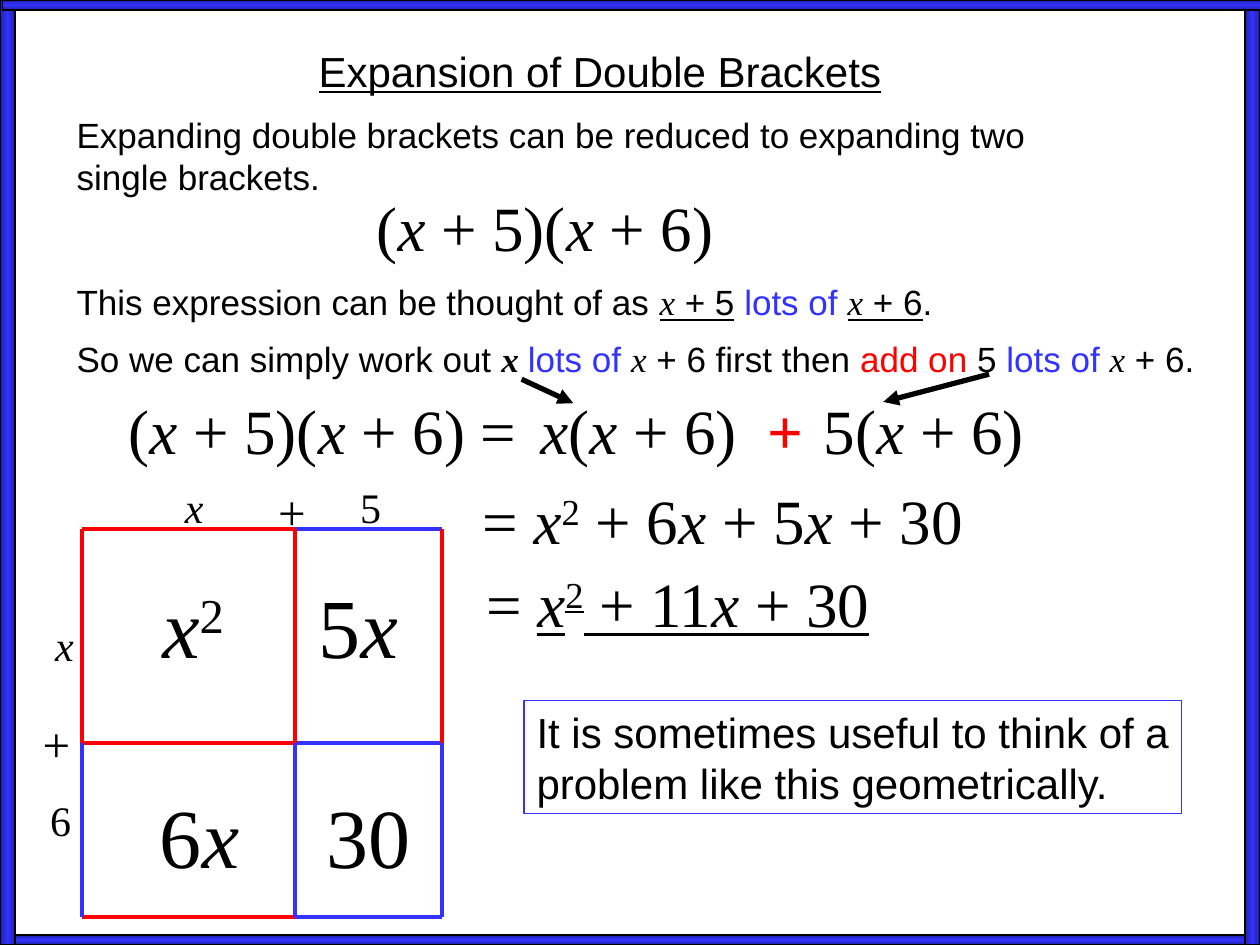
import copy

import pptx
import pptx.dml.color
import pptx.enum.shapes
import pptx.oxml.ns
import pptx.util
from lxml import etree

COLUMNS, ROWS = 100, 75
CELL = pptx.util.Inches(0.1)
COLORS = {"black": "000000", "red": "FF0000", "blue": "3333FF", "navy": "2121A8"}
SANS, SERIF = "Arial", "Times New Roman"

# Edges of the area model, in grid columns and rows
EDGE_COLUMNS = (6.5, 23.4, 35.1)
EDGE_ROWS = (42, 59, 72.8)


def grid(*cells):
    return [round(cell * CELL) for cell in cells]


def rgb(name):
    return pptx.dml.color.RGBColor.from_string(COLORS[name])


def algebra(text, extra=""):
    """Split an expression into spans: x is italic, the digit after ^ is raised."""
    spans = []
    raised = False
    for char in text:
        if char == "^":
            raised = True
            continue
        style = "raised" if raised else "italic" if char == "x" else ""
        raised = False
        style = f"{style} {extra}".strip()
        if spans and spans[-1][1] == style:
            spans[-1] = (spans[-1][0] + char, style)
        else:
            spans.append((char, style))
    return spans


def write(box, spans, size, font):
    """Fill a box with one paragraph of (text, style words) spans."""
    frame = box.text_frame
    frame.word_wrap = True
    para = frame.paragraphs[0]
    para.alignment = pptx.enum.text.PP_ALIGN.LEFT
    para.font.size = pptx.util.Pt(size)
    para.font.name = font
    para.font.color.rgb = rgb("black")
    for text, style in spans:
        words = style.split()
        span = para.add_run()
        span.text = text
        if "serif" in words:
            span.font.name = SERIF
        if "italic" in words:
            span.font.italic = True
        if "bold" in words:
            span.font.bold = True
        if "underlined" in words:
            span.font.underline = True
        if "raised" in words:
            span.font._element.set("baseline", "30000")
        for name in ("red", "blue"):
            if name in words:
                span.font.color.rgb = rgb(name)


def add_text(page, place, spans, size, font=SERIF):
    write(page.shapes.add_textbox(*grid(*place)), spans, size, font)


def add_rectangle(page, place, line_color):
    box = page.shapes.add_shape(pptx.enum.shapes.MSO_SHAPE.RECTANGLE, *grid(*place))
    box.shadow.inherit = False
    box.line.color.rgb = rgb(line_color)
    box.line.width = pptx.util.Pt(0.75)
    return box


def add_frame_bar(page, place, angle):
    bar = add_rectangle(page, place, "black")
    bar.fill.gradient()
    bar.fill.gradient_angle = angle
    first = bar.fill.gradient_stops[0]._gs
    first.addnext(copy.deepcopy(first))
    for stop, position, name in zip(
        bar.fill.gradient_stops, (0, 0.5, 1), ("navy", "blue", "navy")
    ):
        stop.position = position
        stop.color.rgb = rgb(name)


def add_line(page, start, end, color, width=2.25, arrow=False):
    line = page.shapes.add_connector(
        pptx.enum.shapes.MSO_CONNECTOR.STRAIGHT, *grid(*start, *end)
    )
    line.line.color.rgb = rgb(color)
    line.line.width = pptx.util.Pt(width)
    if arrow:
        outline = line.line._get_or_add_ln()
        etree.SubElement(outline, pptx.oxml.ns.qn("a:tailEnd"), type="triangle")
    etree.SubElement(line._element.spPr, pptx.oxml.ns.qn("a:effectLst"))


def add_frame(page):
    add_frame_bar(page, (0, ROWS - 0.8, COLUMNS, 0.8), 90)
    for left in (0, COLUMNS - 1.2):
        add_frame_bar(page, (left, 0, 1.2, ROWS), 0)
    add_frame_bar(page, (0.2, 0, COLUMNS, 0.8), 90)


def add_sentences(page):
    add_text(page, (24.3, 3.1, 47.6, 5),
             [("Expansion of Double Brackets", "underlined")], 24, SANS)
    add_text(page, (5.1, 8.5, 84.7, 7.7),
             [("Expanding double brackets can be reduced to expanding "
               "two single brackets.", "")], 20, SANS)
    add_text(page, (5.1, 21.8, 71.7, 4.4), [
        ("This expression can be thought of as ", ""),
        ("x", "serif italic underlined"), (" + 5", "underlined"), (" ", ""),
        ("lots of ", "blue"),
        ("x", "serif italic underlined"), (" + 6", "underlined"), (".", ""),
    ], 20, SANS)
    add_text(page, (5.1, 26.3, 93.7, 4.4), [
        ("So we can simply work out ", ""), ("x ", "serif bold italic"),
        ("lots of ", "blue"), ("x", "serif italic"), (" + 6 first then ", ""),
        ("add on", "red"), (" 5 ", ""), ("lots of ", "blue"),
        ("x", "serif italic"), (" + 6.", ""),
    ], 20, SANS)


def add_working(page):
    for place, spans in (
        ((28.9, 14.5, 30.2, 7), algebra("(x + 5)(x + 6)")),
        ((9.2, 30.6, 34.8, 7), algebra("(x + 5)(x + 6) =")),
        ((41.9, 30.6, 19.9, 7), algebra("x(x + 6)")),
        ((59.9, 30.6, 6.7, 7), [("+", "red bold")]),
        ((64.4, 30.6, 19.9, 7), algebra("5(x + 6)")),
        ((37.3, 37.7, 49.8, 7), algebra("= x^2 + 6x + 5x + 30")),
        ((37.6, 44.3, 49.8, 7),
         [("= ", "")] + algebra("x^2 + 11x + 30", "underlined")),
    ):
        add_text(page, place, spans, 36)
    add_line(page, (41.4, 30.1), (45.5, 32), "black", 3, arrow=True)
    add_line(page, (78.5, 29.7), (70.1, 31.9), "black", 3, arrow=True)


def add_area_model(page):
    left, middle, right = EDGE_COLUMNS
    top, centre, bottom = EDGE_ROWS
    for row in EDGE_ROWS:
        add_line(page, (left, row), (middle, row), "red")
        add_line(page, (middle, row), (right, row), "blue")
    for column in EDGE_COLUMNS:
        add_line(page, (column, top), (column, centre), "red")
        add_line(page, (column, centre), (column, bottom), "blue")
    for column, row, label, size in (
        (13.7, 37.7, "x", 24), (21.1, 37.7, "+", 28), (27.6, 37.7, "5", 24),
        (3.4, 48.7, "x", 24), (2.4, 56.1, "+", 28), (3, 62.6, "6", 24),
    ):
        add_text(page, (column, row, 5, 5), algebra(label), size)
    for column, row, product in (
        (11.9, 45.1, "x^2"), (24.3, 45.1, "5x"),
        (11.7, 61.8, "6x"), (24.9, 61.8, "30"),
    ):
        add_text(page, (column, row, 10.2, 9), algebra(product), 48)


def add_remark(page):
    box = add_rectangle(page, (41.6, 55.6, 52.2, 9), "blue")
    box.fill.background()
    write(box, [("It is sometimes useful to think of a problem like this "
                 "geometrically.", "")], 24, SANS)


def main():
    deck = pptx.Presentation()
    deck.slide_width, deck.slide_height = grid(COLUMNS, ROWS)
    page = deck.slides.add_slide(deck.slide_layouts[6])
    add_frame(page)
    add_sentences(page)
    add_working(page)
    add_area_model(page)
    add_remark(page)
    deck.save("out.pptx")


if __name__ == "__main__":
    main()
